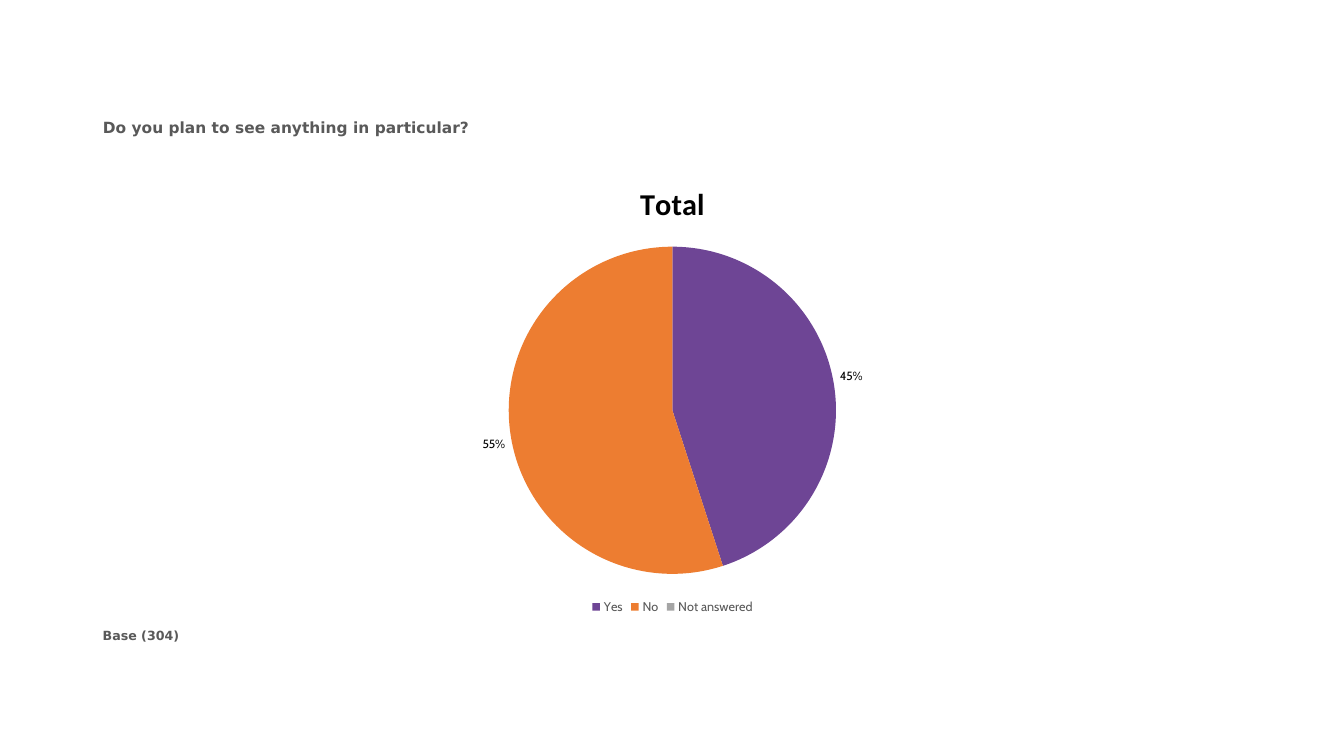
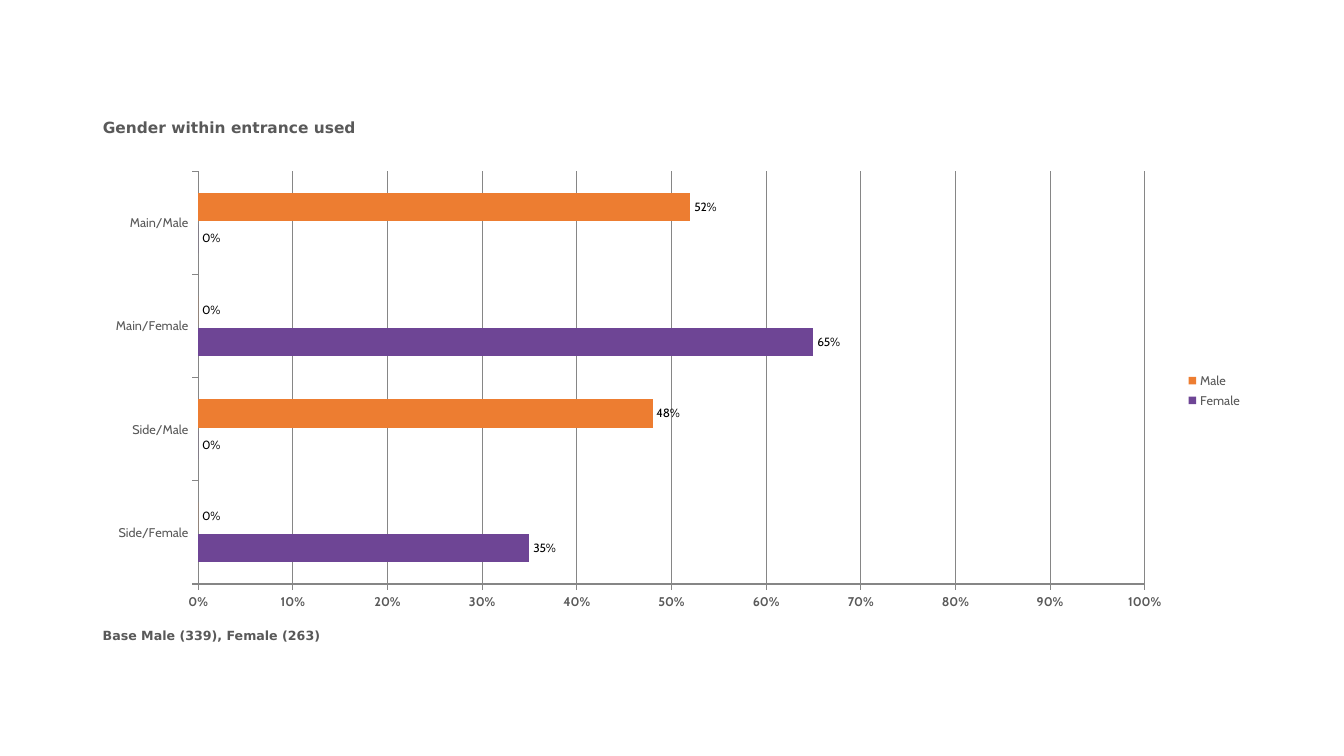
import pptx
import pptx.chart.data
import pptx.dml.color
import pptx.enum.chart
import pptx.enum.text
import pptx.util

PX = 9144  # EMU, 100 px to the inch
SLIDE_WIDTH, SLIDE_HEIGHT = 1333, 750
LEFT, WIDTH = 92, 1150
TITLE_BOX = (LEFT, 112, WIDTH, 51)
CHART_BOX = (LEFT, 161, WIDTH, 453)
BASE_BOX = (LEFT, 618, WIDTH, 43)
TITLE_ONLY = 5

PURPLE = pptx.dml.color.RGBColor(0x6E, 0x45, 0x95)
ORANGE = pptx.dml.color.RGBColor(0xED, 0x7D, 0x31)
SILVER = pptx.dml.color.RGBColor(0xA5, 0xA5, 0xA5)
TEXT_GREY = pptx.dml.color.RGBColor(0x59, 0x59, 0x59)
AXIS_GREY = pptx.dml.color.RGBColor(0x86, 0x86, 0x86)
BLACK = pptx.dml.color.RGBColor(0, 0, 0)

HEADING_FONT = "DejaVu Sans"
CHART_FONT = "Calibri"
LABEL_FONT = "Cabin"
PERCENT = "0%"


def emu(box):
    return [length * PX for length in box]


def style_font(font, name, size, color, bold=False):
    font.name = name
    font.size = pptx.util.Pt(size)
    font.color.rgb = color
    font.bold = bold


def write_heading(shape, box, text, size):
    """Place a shape and fill it with one bold grey line at its top left."""
    shape.left, shape.top, shape.width, shape.height = emu(box)
    frame = shape.text_frame
    frame.word_wrap = True
    frame.auto_size = pptx.enum.text.MSO_AUTO_SIZE.NONE
    frame.vertical_anchor = pptx.enum.text.MSO_ANCHOR.TOP
    paragraph = frame.paragraphs[0]
    paragraph.alignment = pptx.enum.text.PP_ALIGN.LEFT
    run = paragraph.add_run()
    run.text = text
    style_font(run.font, HEADING_FONT, size, TEXT_GREY, bold=True)


def add_question_slide(prs, question, base):
    slide = prs.slides.add_slide(prs.slide_layouts[TITLE_ONLY])
    write_heading(slide.shapes.title, TITLE_BOX, question, 11)
    write_heading(slide.shapes.add_textbox(*emu(BASE_BOX)), BASE_BOX, base, 9)
    return slide


def add_percent_chart(slide, chart_type, categories, answers, legend_position):
    """Add a chart with percentage labels at the outer ends and a legend."""
    data = pptx.chart.data.CategoryChartData(number_format=PERCENT)
    data.categories = categories
    for name, shares in answers.items():
        data.add_series(name, shares)
    chart = slide.shapes.add_chart(chart_type, *emu(CHART_BOX), data).chart
    style_font(chart.font, CHART_FONT, 18, BLACK)
    chart.has_title = False

    chart.has_legend = True
    chart.legend.position = legend_position
    chart.legend.include_in_layout = False
    style_font(chart.legend.font, LABEL_FONT, 9, TEXT_GREY)

    for series in chart.plots[0].series:
        labels = series.data_labels
        labels.show_value = True
        labels.number_format = PERCENT
        labels.number_format_is_linked = False
        labels.position = pptx.enum.chart.XL_LABEL_POSITION.OUTSIDE_END
        style_font(labels.font, LABEL_FONT, 8.5, BLACK)
    return chart


def fill_solid(part, color):
    part.format.fill.solid()
    part.format.fill.fore_color.rgb = color


def style_axis(axis, bold=False):
    axis.major_tick_mark = pptx.enum.chart.XL_TICK_MARK.OUTSIDE
    axis.minor_tick_mark = pptx.enum.chart.XL_TICK_MARK.NONE
    axis.tick_label_position = pptx.enum.chart.XL_TICK_LABEL_POSITION.LOW
    axis.format.line.color.rgb = AXIS_GREY
    axis.format.line.width = pptx.util.Pt(0.75)
    style_font(axis.tick_labels.font, LABEL_FONT, 9, TEXT_GREY, bold)


def add_plans_slide(prs):
    slide = add_question_slide(
        prs, "Do you plan to see anything in particular?", "Base (304)")
    chart = add_percent_chart(
        slide, pptx.enum.chart.XL_CHART_TYPE.PIE,
        ["Yes", "No", "Not answered"], {"Total": [0.45, 0.55, 0]},
        pptx.enum.chart.XL_LEGEND_POSITION.BOTTOM)
    # The empty answer keeps its legend entry but shows no label.
    plot = chart.plots[0]
    plot.vary_by_categories = True
    total = plot.series[0]
    total.data_labels.number_format = "0%;;"
    for index, color in enumerate([PURPLE, ORANGE, SILVER]):
        fill_solid(total.points[index], color)

    chart.has_title = True
    run = chart.chart_title.text_frame.paragraphs[0].add_run()
    run.text = "Total"
    style_font(run.font, CHART_FONT, 21.6, BLACK, bold=True)


def add_entrance_slide(prs):
    slide = add_question_slide(
        prs, "Gender within entrance used", "Base Male (339), Female (263)")
    chart = add_percent_chart(
        slide, pptx.enum.chart.XL_CHART_TYPE.BAR_CLUSTERED,
        ["Side/Female", "Side/Male", "Main/Female", "Main/Male"],
        {"Female": [0.35, 0, 0.65, 0], "Male": [0, 0.48, 0, 0.52]},
        pptx.enum.chart.XL_LEGEND_POSITION.RIGHT)
    plot = chart.plots[0]
    plot.vary_by_categories = False
    plot.gap_width = 150
    plot.overlap = -10
    for series, color in zip(plot.series, [PURPLE, ORANGE]):
        fill_solid(series, color)

    style_axis(chart.category_axis)
    share_axis = chart.value_axis
    style_axis(share_axis, bold=True)
    share_axis.minimum_scale = 0
    share_axis.maximum_scale = 1
    share_axis.major_unit = 0.1
    share_axis.tick_labels.number_format = PERCENT
    share_axis.tick_labels.number_format_is_linked = False
    share_axis.has_major_gridlines = True
    gridline = share_axis.major_gridlines.format.line
    gridline.color.rgb = AXIS_GREY
    gridline.width = pptx.util.Pt(0.75)


def main():
    prs = pptx.Presentation()
    prs.slide_width = SLIDE_WIDTH * PX
    prs.slide_height = SLIDE_HEIGHT * PX
    add_plans_slide(prs)
    add_entrance_slide(prs)
    prs.save("out.pptx")


if __name__ == "__main__":
    main()
